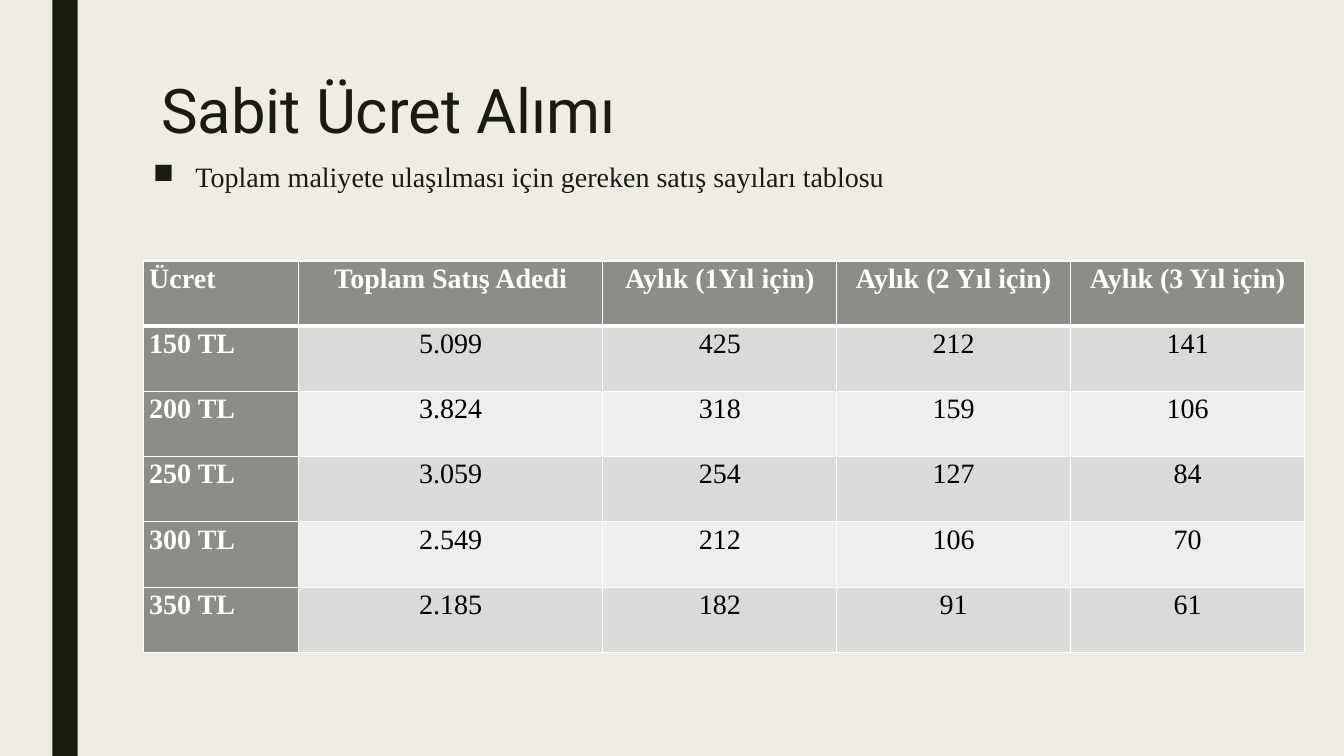
from dataclasses import dataclass

from lxml import etree
from pptx import Presentation
from pptx.dml.color import RGBColor
from pptx.enum.shapes import MSO_SHAPE
from pptx.enum.text import MSO_ANCHOR, PP_ALIGN
from pptx.oxml.ns import qn
from pptx.slide import Slide
from pptx.table import _Cell
from pptx.text.text import TextFrame, _Paragraph
from pptx.util import Inches, Pt

RECTANGLE = MSO_SHAPE.RECTANGLE
TOP = MSO_ANCHOR.TOP
LEFT, CENTER = PP_ALIGN.LEFT, PP_ALIGN.CENTER

INK, PAPER, WHITE, BLACK = "191B0E", "EFEDE3", "FFFFFF", "000000"
HEADING_FILL = "8C8D86"
BAND_FILLS = ("EEEEED", "DADBD9")
SERIF = "Times New Roman"


@dataclass(frozen=True)
class TextStyle:
    font: str
    size: float
    color: str
    bold: bool = False
    align: PP_ALIGN = LEFT
    line_spacing: float = 1.0
    before: float = 0
    after: float = 0


@dataclass(frozen=True)
class FeeRow:
    fee: str
    total: str
    one_year: str
    two_years: str
    three_years: str

    def texts(self) -> tuple[str, ...]:
        return (self.fee, self.total, self.one_year, self.two_years, self.three_years)


TITLE = TextStyle("Roboto", 44, INK, line_spacing=0.89)
BODY = TextStyle(SERIF, 20, INK, line_spacing=0.94, before=10, after=2)

COLUMN_WIDTHS = (1.54, 3.02, 2.32, 2.32, 2.32)
ROW_HEIGHT = 0.647
FEE_ROWS = (
    FeeRow("Ücret", "Toplam Satış Adedi", "Aylık (1Yıl için)",
           "Aylık (2 Yıl için)", "Aylık (3 Yıl için)"),
    FeeRow("150 TL", "5.099", "425", "212", "141"),
    FeeRow("200 TL", "3.824", "318", "159", "106"),
    FeeRow("250 TL", "3.059", "254", "127", "84"),
    FeeRow("300 TL", "2.549", "212", "106", "70"),
    FeeRow("350 TL", "2.185", "182", "91", "61"),
)


def rgb(color: str) -> RGBColor:
    return RGBColor.from_string(color)


def write(frame: TextFrame, text: str, style: TextStyle) -> _Paragraph:
    para = frame.paragraphs[0]
    para.alignment = style.align
    para.line_spacing = style.line_spacing
    para.space_before = Pt(style.before)
    para.space_after = Pt(style.after)
    span = para.add_run()
    span.text = text
    span.font.name = style.font
    span.font.size = Pt(style.size)
    span.font.bold = style.bold
    span.font.color.rgb = rgb(style.color)
    return para


def add_text(page: Slide, left: float, top: float, width: float, height: float,
             text: str, style: TextStyle) -> _Paragraph:
    box = page.shapes.add_textbox(Inches(left), Inches(top), Inches(width), Inches(height))
    box.text_frame.word_wrap = True
    box.text_frame.vertical_anchor = TOP
    return write(box.text_frame, text, style)


def add_bullet(para: _Paragraph, mark: str, indent: float) -> None:
    properties = para._p.get_or_add_pPr()
    properties.set("marL", str(Inches(indent)))
    properties.set("indent", str(-Inches(indent)))
    etree.SubElement(properties, qn("a:buChar")).set("char", mark)


def add_border(cell: _Cell, side: str, width: float) -> None:
    line = etree.SubElement(cell._tc.get_or_add_tcPr(), qn(f"a:ln{side}"))
    line.set("w", str(Pt(width)))
    fill = etree.SubElement(line, qn("a:solidFill"))
    etree.SubElement(fill, qn("a:srgbClr")).set("val", WHITE)


def fill_cell(cell: _Cell, row: int, column: int, text: str) -> None:
    heading = row == 0 or column == 0
    cell.margin_left = cell.margin_right = Inches(0.06)
    cell.margin_top = cell.margin_bottom = 0
    cell.vertical_anchor = TOP
    # The rule under the header row is thicker than the others
    add_border(cell, "L", 1)
    add_border(cell, "R", 1)
    add_border(cell, "T", 3 if row == 1 else 1)
    add_border(cell, "B", 3 if row == 0 else 1)
    cell.fill.solid()
    cell.fill.fore_color.rgb = rgb(HEADING_FILL if heading else BAND_FILLS[row % 2])
    style = TextStyle(SERIF, 20, WHITE if heading else BLACK, bold=heading,
                      align=CENTER if column else LEFT, line_spacing=1.07, after=8)
    write(cell.text_frame, text, style)


def add_fee_table(page: Slide, left: float, top: float) -> None:
    table = page.shapes.add_table(
        len(FEE_ROWS), len(COLUMN_WIDTHS), Inches(left), Inches(top),
        Inches(sum(COLUMN_WIDTHS)), Inches(ROW_HEIGHT * len(FEE_ROWS))).table
    table.first_col = True
    for column, width in zip(table.columns, COLUMN_WIDTHS):
        column.width = Inches(width)
    for row, fee_row in enumerate(FEE_ROWS):
        table.rows[row].height = Inches(ROW_HEIGHT)
        for column, text in enumerate(fee_row.texts()):
            fill_cell(table.cell(row, column), row, column, text)


def main() -> None:
    deck = Presentation()
    deck.slide_width, deck.slide_height = Inches(13.33), Inches(7.5)
    page = deck.slides.add_slide(deck.slide_layouts[6])

    # Background and side bar
    page.background.fill.solid()
    page.background.fill.fore_color.rgb = rgb(PAPER)
    bar = page.shapes.add_shape(RECTANGLE, Inches(0.52), 0, Inches(0.25), Inches(7.5))
    bar.shadow.inherit = False
    bar.fill.solid()
    bar.fill.fore_color.rgb = rgb(INK)
    bar.line.fill.background()

    # Title and introduction
    add_text(page, 1.5, 0.75, 10.5, 1.62, "Sabit Ücret Alımı", TITLE)
    intro = add_text(page, 1.42, 1.56, 10.5, 0.54,
                     "Toplam maliyete ulaşılması için gereken satış sayıları tablosu", BODY)
    add_bullet(intro, "■", 0.42)

    # Sales needed at each fee
    add_fee_table(page, 1.42, 2.59)

    deck.save("out.pptx")


if __name__ == "__main__":
    main()
